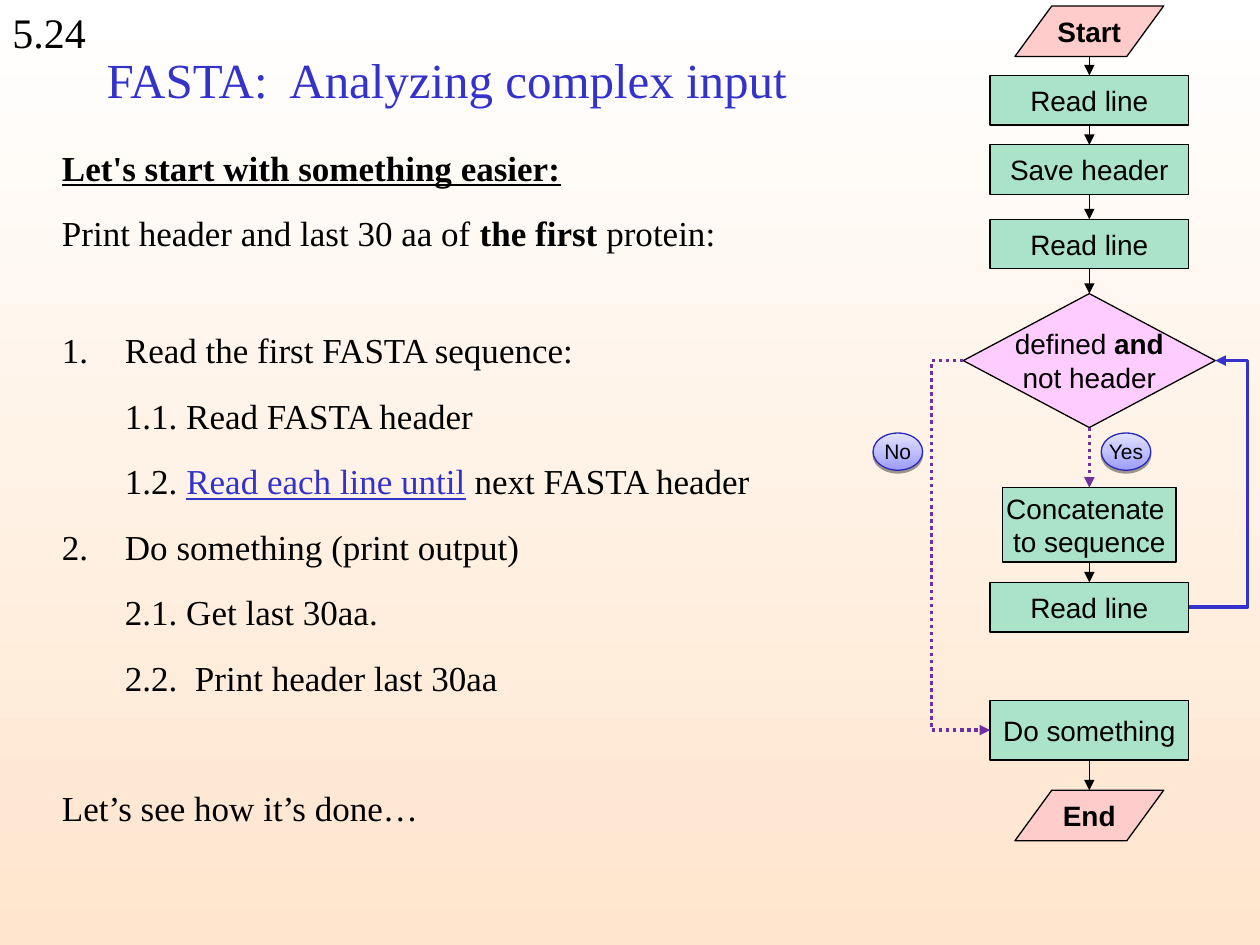
"""Build the FASTA input slide with its flowchart."""
import pptx
import pptx.dml.color
import pptx.enum.dml
import pptx.enum.shapes
import pptx.enum.text
import pptx.oxml.ns
import pptx.util
from lxml import etree

Cm = pptx.util.Cm
Pt = pptx.util.Pt
qn = pptx.oxml.ns.qn
RGB = pptx.dml.color.RGBColor
SHAPE = pptx.enum.shapes.MSO_SHAPE
CONNECTOR = pptx.enum.shapes.MSO_CONNECTOR
ALIGN = pptx.enum.text.PP_ALIGN
MIDDLE = pptx.enum.text.MSO_ANCHOR.MIDDLE
DOTS = pptx.enum.dml.MSO_LINE.ROUND_DOT

BLACK = RGB(0x00, 0x00, 0x00)
WHITE = RGB(0xFF, 0xFF, 0xFF)
PEACH = RGB(0xFF, 0xE5, 0xCD)
BLUE = RGB(0x33, 0x33, 0xCC)
PURPLE = RGB(0x70, 0x30, 0xA0)
GREEN = RGB(0xAA, 0xE2, 0xCA)
PINK = RGB(0xFF, 0xCC, 0xCC)
VIOLET = RGB(0xFF, 0xCC, 0xFF)
PERIWINKLE = RGB(0x9C, 0x9C, 0xFF)
LAVENDER = RGB(0xE4, 0xE4, 0xFF)
NAVY = RGB(0x28, 0x28, 0xB8)

AXIS = 21.96
BODY_GAP = 13.5


class Deck:
    """Hold the slide and the style of its elements."""

    serif = "Times New Roman"
    sans = "Arial"

    def __init__(self, prs):
        self.s = prs.slides.add_slide(prs.slide_layouts[6])

    def gradient(self, fill, colors, angle):
        fill.gradient()
        fill.gradient_angle = angle
        for stop, color, position in zip(fill.gradient_stops, colors, (0, 1)):
            stop.color.rgb = color
            stop.position = position

    def fill_paragraph(self, p, content, size, font, color=BLACK, bold=False):
        if isinstance(content, str):
            p.text = content
        else:
            for text, _ in content:
                p.add_run().text = text
        for i, r in enumerate(p.runs):
            style = {} if isinstance(content, str) else content[i][1]
            r.font.size = Pt(size)
            r.font.name = font
            r.font.bold = style.get("bold", bold)
            r.font.underline = style.get("underline", False)
            r.font.color.rgb = style.get("color", color)

    def text(self, x, y, w, h, content, size, color=BLACK, anchor=None):
        tf = self.s.shapes.add_textbox(Cm(x), Cm(y), Cm(w), Cm(h)).text_frame
        tf.word_wrap = True
        tf.vertical_anchor = anchor
        self.fill_paragraph(tf.paragraphs[0], content, size, self.serif, color)
        return tf

    def outline(self, tf, items, size):
        for i, (kind, gap, content) in enumerate(items):
            p = tf.add_paragraph() if i else tf.paragraphs[0]
            self.fill_paragraph(p, content, size, self.serif)
            pPr = p._p.get_or_add_pPr()
            p.level = 1 if kind == "sub" else 0
            pPr.set("marL", str(Cm(2.54 if kind == "sub" else 1.27)))
            pPr.set("indent", str(Cm(-1.27)))
            if kind == "number":
                etree.SubElement(pPr, qn("a:buAutoNum"), type="arabicPeriod")
            else:
                etree.SubElement(pPr, qn("a:buNone"))
            if i:
                p.space_before = Pt(gap)

    def node(self, kind, x, y, w, h, lines, fill, line=BLACK, size=16, bold=False):
        sp = self.s.shapes.add_shape(kind, Cm(x), Cm(y), Cm(w), Cm(h))
        sp.shadow.inherit = False
        if isinstance(fill, RGB):
            sp.fill.solid()
            sp.fill.fore_color.rgb = fill
        else:
            self.gradient(sp.fill, fill, 90)
        sp.line.color.rgb = line
        sp.line.width = Pt(0.75)
        tf = sp.text_frame
        tf.word_wrap = False
        tf.vertical_anchor = MIDDLE
        for i, content in enumerate(lines):
            p = tf.add_paragraph() if i else tf.paragraphs[0]
            p.alignment = ALIGN.CENTER
            self.fill_paragraph(p, content, size, self.sans, bold=bold)
        return sp

    def terminal(self, y, label):
        sp = self.node(SHAPE.PARALLELOGRAM, AXIS - 1.5, y, 3, 1.02, [label], PINK, bold=True)
        sp.adjustments[0] = 0.73
        return sp

    def step(self, y, *lines, w=4, h=1):
        return self.node(SHAPE.RECTANGLE, AXIS - w / 2, y, w, h, lines, GREEN)

    def badge(self, x, y, label):
        sp = self.node(SHAPE.OVAL, x, y, 1, 0.75, [label], (PERIWINKLE, LAVENDER), NAVY, 12)
        effects = sp._element.spPr.find(qn("a:effectLst"))
        shadow = etree.SubElement(effects, qn("a:outerShdw"), blurRad="0",
                                  dist=str(Pt(1.6)), dir="5400000")
        color = etree.SubElement(shadow, qn("a:srgbClr"), val=str(BLACK))
        etree.SubElement(color, qn("a:alpha"), val="38000")

    def arrow(self, kind, start, end, color, width, dash=None):
        c = self.s.shapes.add_connector(kind, *start, *end)
        c.line.color.rgb = color
        c.line.width = Pt(width)
        if dash:
            c.line.dash_style = dash
        spPr = c._element.spPr
        etree.SubElement(spPr.find(qn("a:ln")), qn("a:tailEnd"), type="triangle")
        etree.SubElement(spPr, qn("a:effectLst"))
        return c

    def down(self, upper, lower, color=BLACK, width=0.75, dash=None):
        start = (Cm(AXIS), upper.top + upper.height)
        c = self.arrow(CONNECTOR.STRAIGHT, start, (Cm(AXIS), lower.top), color, width, dash)
        if upper.auto_shape_type != SHAPE.PARALLELOGRAM:
            c.begin_connect(upper, 2)
        if lower.auto_shape_type != SHAPE.PARALLELOGRAM:
            c.end_connect(lower, 0)

    def detour(self, start, end, via, color, dash=None):
        c = self.arrow(CONNECTOR.ELBOW, start, end, color, 2, dash)
        ratio = (Cm(via) - start[0]) / (end[0] - start[0])
        geom = c._element.spPr.find(qn("a:prstGeom"))
        guides = geom.find(qn("a:avLst"))
        if guides is None:
            guides = etree.SubElement(geom, qn("a:avLst"))
        etree.SubElement(guides, qn("a:gd"), name="adj1", fmla=f"val {round(ratio * 100000)}")


def side(sp, right):
    """Return the middle of the left or right side of a shape."""
    return sp.left + (sp.width if right else 0), sp.top + sp.height // 2


def main():
    """Lay out the outline on the left and the flowchart on the right."""
    prs = pptx.Presentation()
    prs.slide_width, prs.slide_height = Cm(25.4), Cm(19.05)
    deck = Deck(prs)
    deck.gradient(deck.s.background.fill, (WHITE, PEACH), 270)

    deck.text(0, 0, 3.18, 1.27, "5.24", 24)
    deck.text(1.9, 0.43, 21.6, 2.34, "FASTA:  Analyzing complex input", 28, BLUE, MIDDLE)
    body = deck.text(1, 2.82, 21.8, 13.7, "", 20)
    deck.outline(body, [
        ("plain", 0, [("Let's start with something easier:", {"bold": True, "underline": True})]),
        ("plain", BODY_GAP, [("Print header and last 30 aa of ", {}),
                             ("the first", {"bold": True}), (" protein:", {})]),
        ("number", 42.7, "Read the first FASTA sequence:"),
        ("sub", BODY_GAP, "1.1. Read FASTA header"),
        ("sub", BODY_GAP, [("1.2. ", {}),
                           ("Read each line until", {"color": BLUE, "underline": True}),
                           (" next FASTA header", {})]),
        ("number", BODY_GAP, "Do something (print output)"),
        ("sub", BODY_GAP, "2.1. Get last 30aa."),
        ("sub", BODY_GAP, "2.2.  Print header last 30aa"),
        ("plain", 50, "Let’s see how it’s done…"),
    ], 20)

    start = deck.terminal(0.12, "Start")
    first = deck.step(1.52, "Read line")
    save = deck.step(2.92, "Save header")
    second = deck.step(4.42, "Read line")
    test = deck.node(SHAPE.DIAMOND, AXIS - 2.54, 5.92, 5.08, 2.7,
                     [[("defined", {}), (" and", {"bold": True})], "not header"], VIOLET)
    concat = deck.step(9.83, "Concatenate ", "to sequence", w=3.5, h=1.5)
    again = deck.step(11.74, "Read line")
    action = deck.step(14.12, "Do something", h=1.2)
    end = deck.terminal(15.93, "End")

    for upper, lower in ((start, first), (first, save), (save, second),
                         (second, test), (concat, again), (action, end)):
        deck.down(upper, lower)
    deck.down(test, concat, PURPLE, 2, DOTS)
    deck.detour(side(again, True), side(test, True), 25.15, BLUE)
    deck.detour(side(test, False), side(action, False), 18.78, PURPLE, DOTS)
    deck.badge(17.6, 8.73, "No")
    deck.badge(22.2, 8.73, "Yes")
    prs.save("out.pptx")


if __name__ == "__main__":
    main()
